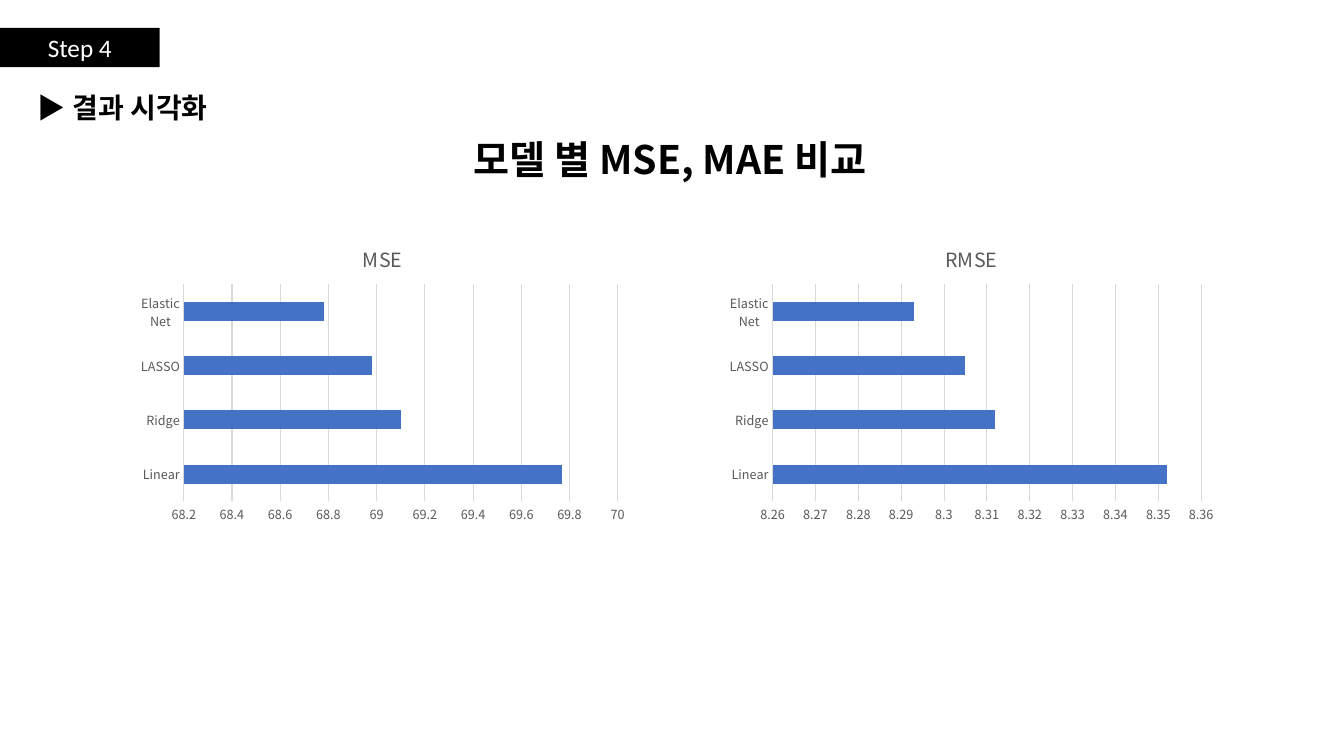
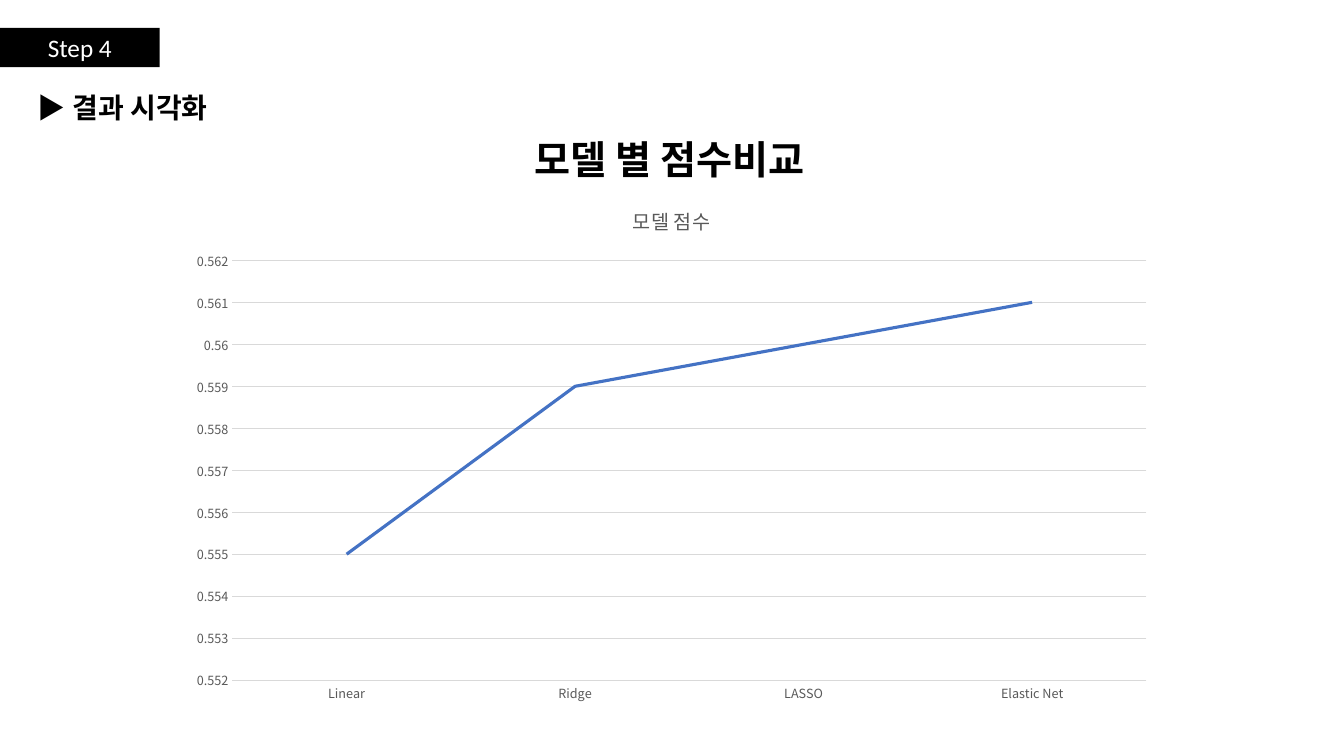
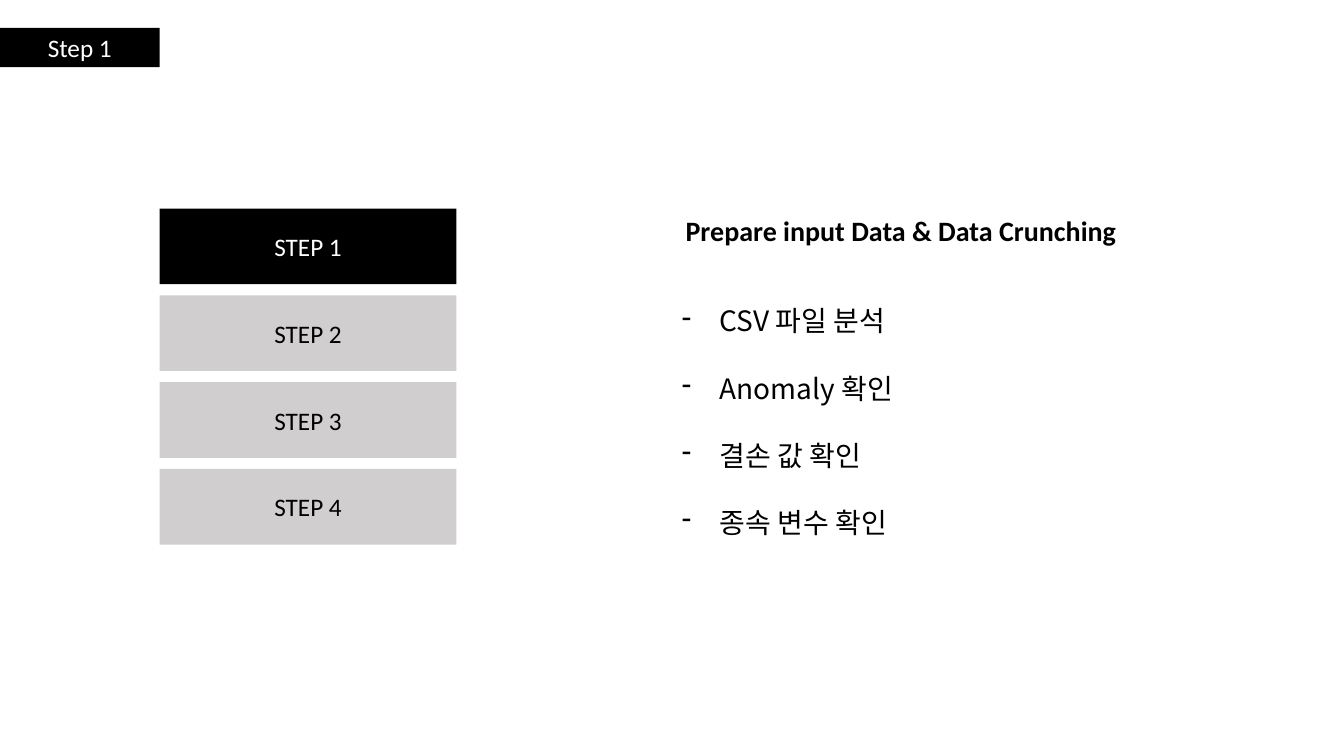
from dataclasses import dataclass

from lxml import etree
from pptx import Presentation
from pptx.chart.data import CategoryChartData
from pptx.dml.color import RGBColor
from pptx.enum.chart import XL_CHART_TYPE, XL_TICK_MARK
from pptx.enum.shapes import MSO_SHAPE
from pptx.enum.text import MSO_ANCHOR, MSO_AUTO_SIZE, PP_ALIGN
from pptx.oxml.ns import qn
from pptx.util import Pt

BAR = XL_CHART_TYPE.BAR_CLUSTERED
LINE = XL_CHART_TYPE.LINE
NO_TICK = XL_TICK_MARK.NONE
RECTANGLE = MSO_SHAPE.RECTANGLE
TOP, MIDDLE = MSO_ANCHOR.TOP, MSO_ANCHOR.MIDDLE
NO_AUTOFIT = MSO_AUTO_SIZE.NONE
LEFT, CENTER = PP_ALIGN.LEFT, PP_ALIGN.CENTER


@dataclass(frozen=True)
class Theme:
    """Colours, fonts and sizes shared by the slides."""

    black: RGBColor = RGBColor(0x00, 0x00, 0x00)
    white: RGBColor = RGBColor(0xFF, 0xFF, 0xFF)
    idle: RGBColor = RGBColor(0xD0, 0xCE, 0xCE)
    grid: RGBColor = RGBColor(0xD9, 0xD9, 0xD9)
    label: RGBColor = RGBColor(0x59, 0x59, 0x59)
    series: RGBColor = RGBColor(0x44, 0x72, 0xC4)
    latin: str = "Calibri"
    korean: str = "Noto Sans CJK KR"
    headline: int = 28
    body: int = 20
    step: int = 18
    chart_title: int = 14
    axis: int = 9
    korean_line: float = 1.25


THEME = Theme()
MODELS = ("Linear", "Ridge", "LASSO", "Elastic Net")
STEP_TAG_BOX = (0, 20, 114, 28)
SECTION_BOX = (20, 60, 147, 32)
HEADLINE_BOX = (0, 91.5, 957, 41)


def points(box):
    """Turn a box of numbers into lengths in points."""
    return [Pt(length) for length in box]


def write(paragraph, text, *, size, color=THEME.black, font=THEME.latin,
          bold=False, align=None, line=None, after=None):
    """Add formatted text to a paragraph."""
    run = paragraph.add_run()
    run.text = text
    run.font.size = Pt(size)
    run.font.bold = bold
    run.font.color.rgb = color
    run.font.name = font
    east_asian = etree.SubElement(run.font._rPr, qn("a:ea"))
    east_asian.set("typeface", font)
    if align is not None:
        paragraph.alignment = align
    if line is not None:
        paragraph.line_spacing = Pt(size * line)
    if after is not None:
        paragraph.space_after = Pt(after)


def prepare_frame(shape, anchor=TOP):
    """Return a wrapping text frame of fixed size."""
    frame = shape.text_frame
    frame.word_wrap = True
    frame.auto_size = NO_AUTOFIT
    frame.vertical_anchor = anchor
    return frame


def add_text_box(slide, box):
    """Add an empty text box and return its frame."""
    return prepare_frame(slide.shapes.add_textbox(*points(box)))


def add_block(slide, box, text, fill, color):
    """Draw a filled rectangle with a centred label."""
    block = slide.shapes.add_shape(RECTANGLE, *points(box))
    block.shadow.inherit = False
    block.fill.solid()
    block.fill.fore_color.rgb = fill
    block.line.fill.background()
    label = prepare_frame(block, MIDDLE).paragraphs[0]
    write(label, text, size=THEME.step, color=color, align=CENTER)


def add_title(slide, box, text, **style):
    """Move and format the title placeholder."""
    title = slide.shapes.title
    title.left, title.top, title.width, title.height = points(box)
    write(prepare_frame(title).paragraphs[0], text, bold=True, **style)


def add_step_slide(deck, step):
    """Start a title-only slide with its step tag."""
    slide = deck.slides.add_slide(deck.slide_layouts[5])
    add_block(slide, STEP_TAG_BOX, step, THEME.black, THEME.white)
    return slide


def add_result_slide(deck, headline):
    """Start a result slide with section name and headline."""
    slide = add_step_slide(deck, "Step 4")
    section = add_text_box(slide, SECTION_BOX).paragraphs[0]
    write(section, "▶ 결과 시각화", size=THEME.body, font=THEME.korean,
          bold=True, line=THEME.korean_line)
    add_title(slide, HEADLINE_BOX, headline, size=THEME.headline,
              font=THEME.korean, align=CENTER, line=THEME.korean_line)
    return slide


def format_axis(axis):
    """Apply the common axis labels and ticks."""
    axis.major_tick_mark = axis.minor_tick_mark = NO_TICK
    labels = axis.tick_labels
    labels.font.size = Pt(THEME.axis)
    labels.font.name = THEME.korean
    labels.font.color.rgb = THEME.label
    labels.number_format = "General"
    labels.number_format_is_linked = False


def format_rule(rule):
    """Draw an axis or grid line in light grey."""
    rule.color.rgb = THEME.grid
    rule.width = Pt(0.75)


def add_model_chart(slide, box, kind, name, values, scale):
    """Chart one measure of the models on a fixed scale."""
    data = CategoryChartData()
    data.categories = MODELS
    data.add_series(name, values)
    chart = slide.shapes.add_chart(kind, *points(box), data).chart
    chart.has_legend = False
    chart.font.name = THEME.korean
    chart.font.size = Pt(10)
    chart.has_title = True
    write(chart.chart_title.text_frame.paragraphs[0], name,
          size=THEME.chart_title, color=THEME.label, font=THEME.korean)
    chart.chart_title.include_in_layout = False

    models, measure = chart.category_axis, chart.value_axis
    format_axis(models)
    format_axis(measure)
    format_rule(models.format.line)
    measure.format.line.fill.background()
    measure.has_major_gridlines = True
    format_rule(measure.major_gridlines.format.line)
    measure.minimum_scale, measure.maximum_scale, measure.major_unit = scale

    plot = chart.plots[0]
    plot.vary_by_categories = False
    series = plot.series[0]
    if kind == BAR:
        plot.gap_width = 182
        series.format.fill.solid()
        series.format.fill.fore_color.rgb = THEME.series
    else:
        series.smooth = False
        series.format.line.color.rgb = THEME.series
        series.format.line.width = Pt(2.25)


def add_step_list(slide, box, count, active, gap=8):
    """Stack the step blocks in a box and mark the active one."""
    left, top, width, height = box
    block_height = (height - gap * (count - 1)) / count
    for index in range(count):
        is_active = index + 1 == active
        block_top = top + index * (block_height + gap)
        add_block(slide, (left, block_top, width, block_height),
                  f"STEP {index + 1}",
                  THEME.black if is_active else THEME.idle,
                  THEME.white if is_active else THEME.black)


def add_task_list(slide, box, tasks, indent=27):
    """List tasks with dash bullets and a hanging indent."""
    frame = add_text_box(slide, box)
    for index, task in enumerate(tasks):
        paragraph = frame.add_paragraph() if index else frame.paragraphs[0]
        write(paragraph, task, size=THEME.body, font=THEME.korean,
              align=LEFT, line=THEME.korean_line, after=23)
        properties = paragraph._p.get_or_add_pPr()
        properties.set("marL", str(Pt(indent)))
        properties.set("indent", str(-Pt(indent)))
        etree.SubElement(properties, qn("a:buChar")).set("char", "-")


def build_error_slide(deck):
    """Compare the errors of the models."""
    slide = add_result_slide(deck, "모델 별 MSE, MAE 비교")
    measures = (
        ("MSE", (69.77, 69.1, 68.98, 68.78), (68.2, 70, 0.2)),
        ("RMSE", (8.352, 8.312, 8.305, 8.293), (8.26, 8.36, 0.01)),
    )
    for column, (name, values, scale) in enumerate(measures):
        box = (93.5 + column * 420.5, 162, 360, 216)
        add_model_chart(slide, box, BAR, name, values, scale)


def build_score_slide(deck):
    """Compare the scores of the models."""
    slide = add_result_slide(deck, "모델 별 점수비교")
    add_model_chart(slide, (126.5, 132, 706.5, 377), LINE, "모델 점수",
                    (0.555, 0.559, 0.56, 0.561), (0.552, 0.562, 0.001))


def build_prepare_slide(deck):
    """Introduce the first step and its tasks."""
    slide = add_step_slide(deck, "Step 1")
    add_title(slide, (482.5, 149, 351, 32),
              "Prepare input Data & Data Crunching",
              size=THEME.body, align=LEFT)
    add_step_list(slide, (114, 149, 212, 240), count=4, active=1)
    add_task_list(slide, (480, 212.5, 373, 177),
                  ("CSV 파일 분석", "Anomaly 확인", "결손 값 확인", "종속 변수 확인"))


def main():
    """Build and save the slides."""
    deck = Presentation()
    deck.slide_width, deck.slide_height = Pt(960), Pt(540)
    build_error_slide(deck)
    build_score_slide(deck)
    build_prepare_slide(deck)
    deck.save("out.pptx")


if __name__ == "__main__":
    main()
